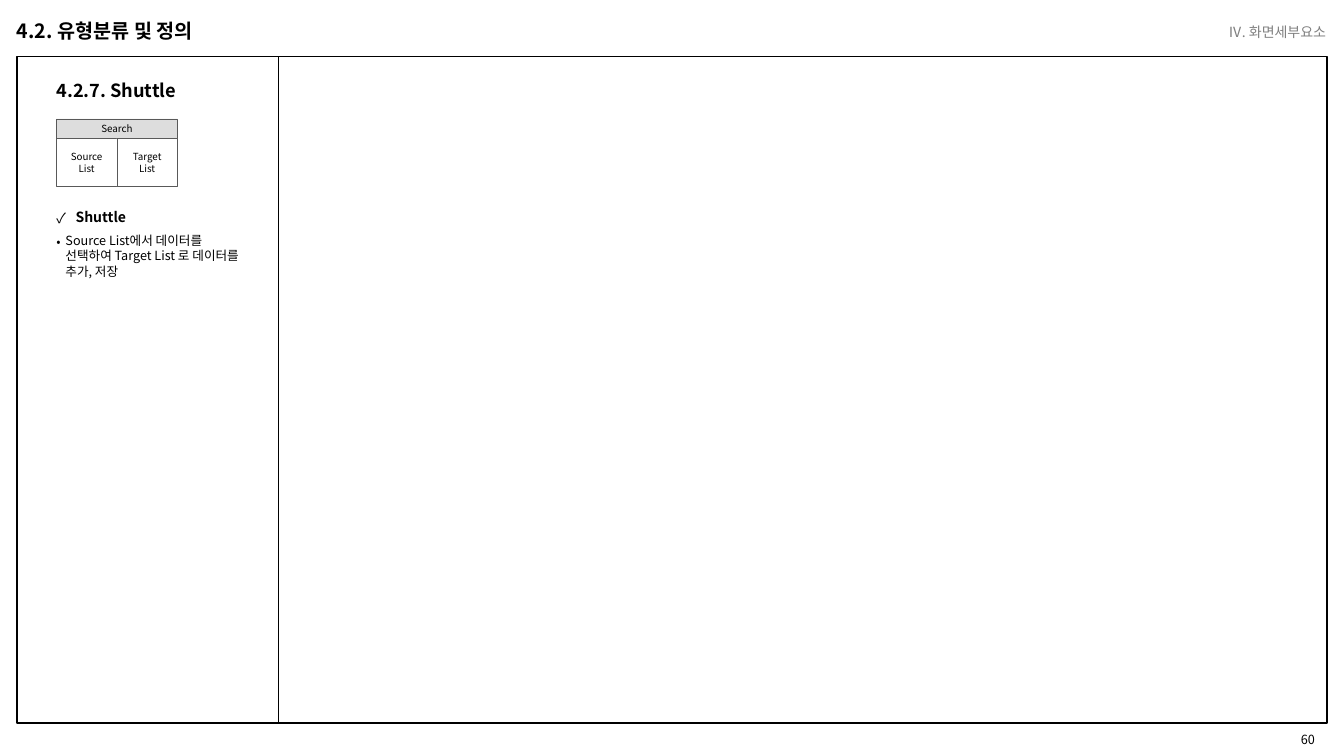
from dataclasses import dataclass
from typing import Any

from lxml import etree
from pptx import Presentation
from pptx import util as u
from pptx.dml import color
from pptx.enum import shapes, text
from pptx.oxml import ns

FONT = "Noto Sans CJK KR"
LEFT, RIGHT = text.PP_ALIGN.LEFT, text.PP_ALIGN.RIGHT
MID, TOP = text.MSO_ANCHOR.MIDDLE, text.MSO_ANCHOR.TOP
GROW, FIXED = text.MSO_AUTO_SIZE.SHAPE_TO_FIT_TEXT, text.MSO_AUTO_SIZE.NONE
BLACK, GRAY, EDGE = "000000", "808080", "595959"
PAD, FLUSH = (0.1, 0.05), (0, 0)


@dataclass
class Para:
    words: str
    size: float
    bold: bool = False
    hue: str = BLACK
    mark: str = ""
    indent: float = 0
    lead: float | None = None


@dataclass
class Label:
    area: tuple[float, float, float, float]
    paras: list[Para]
    pad: tuple[float, float] = PAD
    align: Any = LEFT
    anchor: Any = MID
    wrap: bool = True
    fit: Any = FIXED


@dataclass
class Cell:
    area: tuple[float, float, float, float]
    lines: list[str]
    fill: str
    pad: tuple[float, float] = FLUSH


def rgb(code: str) -> color.RGBColor:
    return color.RGBColor.from_string(code)


def apply(item: Any, form: dict[str, Any]) -> None:
    for key, value in form.items():
        setattr(item, key, value)


def place(area: tuple[float, ...]) -> list[u.Length]:
    return [u.Inches(side) for side in area]


def bullet(par: Any, mark: str, indent: float) -> None:
    par.level = 1
    props = par._p.get_or_add_pPr()
    props.set("marL", str(u.Inches(indent)))
    props.set("indent", str(-u.Inches(indent)))
    etree.SubElement(props, ns.qn("a:buFont")).set("typeface", FONT)
    etree.SubElement(props, ns.qn("a:buChar")).set("char", mark)
    par.space_after = u.Pt(5.4)


def write(frame: Any, paras: list[Para], align: Any) -> None:
    for index, para in enumerate(paras):
        par = frame.add_paragraph() if index else frame.paragraphs[0]
        if para.mark:
            bullet(par, para.mark, para.indent)
        apply(par, {"alignment": align, "line_spacing": para.lead})
        run = par.add_run()
        run.text = para.words
        apply(run.font, {"name": FONT, "size": u.Pt(para.size), "bold": para.bold})
        run.font.color.rgb = rgb(para.hue)
        east = etree.SubElement(run.font._element, ns.qn("a:ea"))
        east.set("typeface", FONT)


def layout(frame: Any, pad: tuple[float, float], anchor: Any, wrap: bool, fit: Any) -> None:
    wide, high = place(pad)
    apply(frame, {"margin_left": wide, "margin_right": wide,
                  "margin_top": high, "margin_bottom": high,
                  "vertical_anchor": anchor, "word_wrap": wrap, "auto_size": fit})


def label(tree: Any, item: Label) -> None:
    frame = tree.add_textbox(*place(item.area)).text_frame
    layout(frame, item.pad, item.anchor, item.wrap, item.fit)
    write(frame, item.paras, item.align)


def stroke(line: Any, hue: str, width: float) -> None:
    line.color.rgb = rgb(hue)
    line.width = u.Pt(width)


def box(tree: Any, area: tuple[float, ...], hue: str, width: float, fill: str = "") -> Any:
    shape = tree.add_shape(shapes.MSO_SHAPE.RECTANGLE, *place(area))
    shape.shadow.inherit = False
    if fill:
        shape.fill.solid()
        shape.fill.fore_color.rgb = rgb(fill)
    else:
        shape.fill.background()
    stroke(shape.line, hue, width)
    return shape


def cell(tree: Any, item: Cell) -> None:
    frame = box(tree, item.area, EDGE, 0.25, item.fill).text_frame
    layout(frame, item.pad, MID, True, FIXED)
    write(frame, [Para(line, 7) for line in item.lines], text.PP_ALIGN.CENTER)


def rule(tree: Any, ends: tuple[float, ...]) -> None:
    line = tree.add_connector(shapes.MSO_CONNECTOR.STRAIGHT, *place(ends))
    stroke(line.line, BLACK, 0.25)
    etree.SubElement(line._element.spPr, ns.qn("a:effectLst"))


EDGE_X, PANE_W = 0.56, 0.6
LABELS = [
    Label((12.44, 7.18, 0.69, 0.31), [Para("60", 9)], (0.09, 0.05), RIGHT),
    Label((0.07, 0.14, 2.04, 0.34), [Para("4.2. 유형분류 및 정의", 14, True)],
          anchor=TOP, wrap=False, fit=GROW),
    Label((EDGE_X, 0.7, 9.84, 0.28), [Para("4.2.7. Shuttle", 13, True, lead=1.5)],
          FLUSH, fit=GROW),
    Label((11.52, 0.13, 1.73, 0.38), [Para("Ⅳ. 화면세부요소", 10, hue=GRAY)], align=RIGHT),
    Label((EDGE_X, 2.07, 1.86, 0.69), [
        Para("Shuttle", 10, True, mark="✓", indent=0.19),
        Para("Source List에서 데이터를 선택하여 Target List 로 데이터를 추가, 저장", 9,
             mark="•", indent=0.09),
    ], FLUSH, anchor=TOP, fit=GROW),
]
CELLS = [Cell((EDGE_X, 1.18, 2 * PANE_W, 0.19), ["Search"], "DDDDDD", PAD)] + [
    Cell((EDGE_X + col * PANE_W, 1.37, PANE_W, 0.48), [name, "List"], "FFFFFF")
    for col, name in enumerate(["Source", "Target"])
]


def main() -> None:
    deck = Presentation()
    apply(deck, {"slide_width": u.Inches(13.33), "slide_height": u.Inches(7.5)})
    tree = deck.slides.add_slide(deck.slide_layouts[6]).shapes
    box(tree, (0.17, 0.56, 12.99, 6.61), BLACK, 1.3)
    for item in LABELS:
        label(tree, item)
    group = tree.add_group_shape().shapes
    for item in CELLS:
        cell(group, item)
    rule(tree, (2.76, 0.56, 2.76, 7.17))
    deck.save("out.pptx")


if __name__ == "__main__":
    main()
